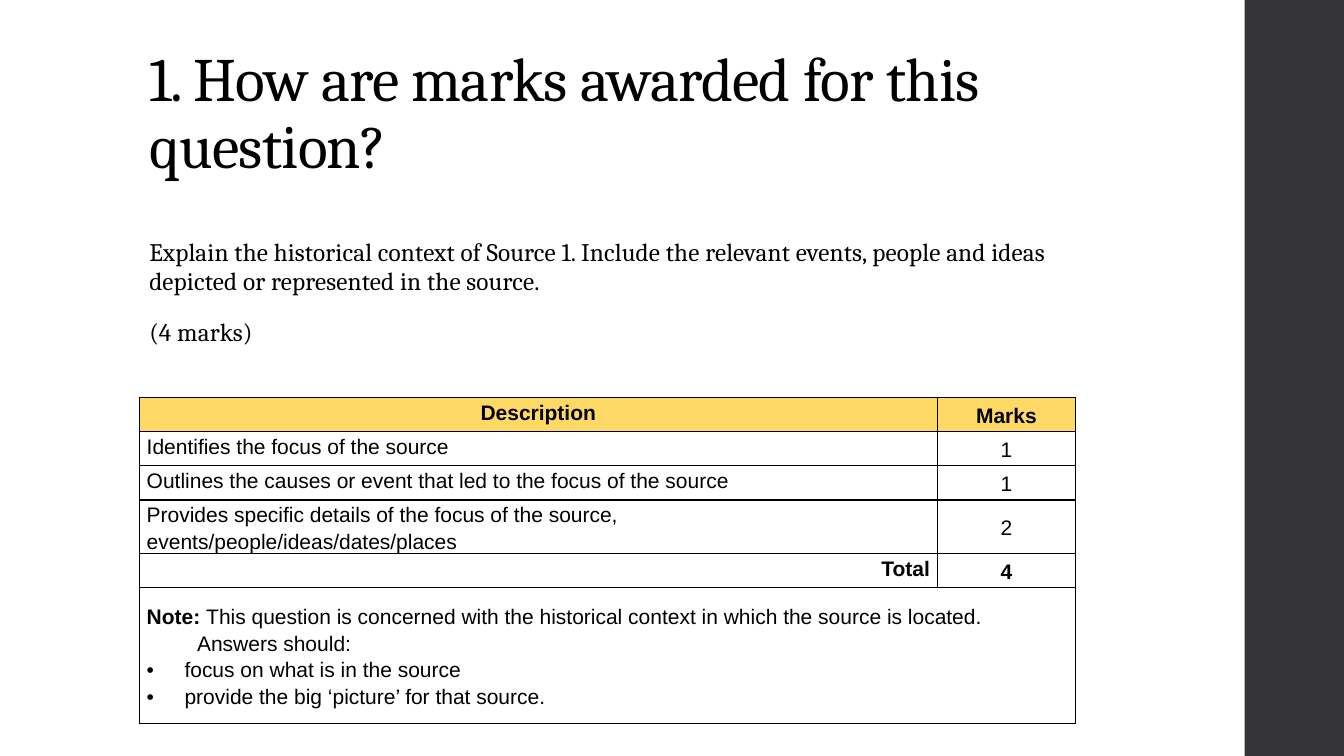
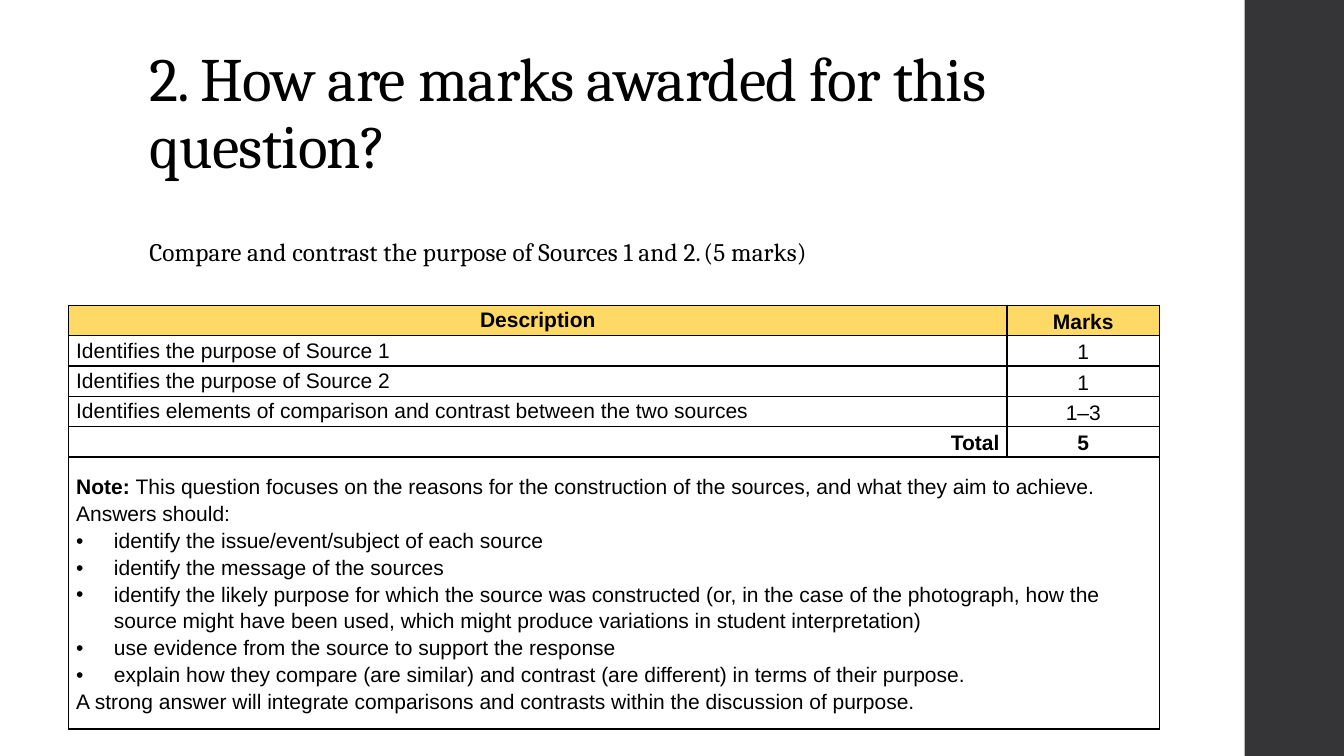
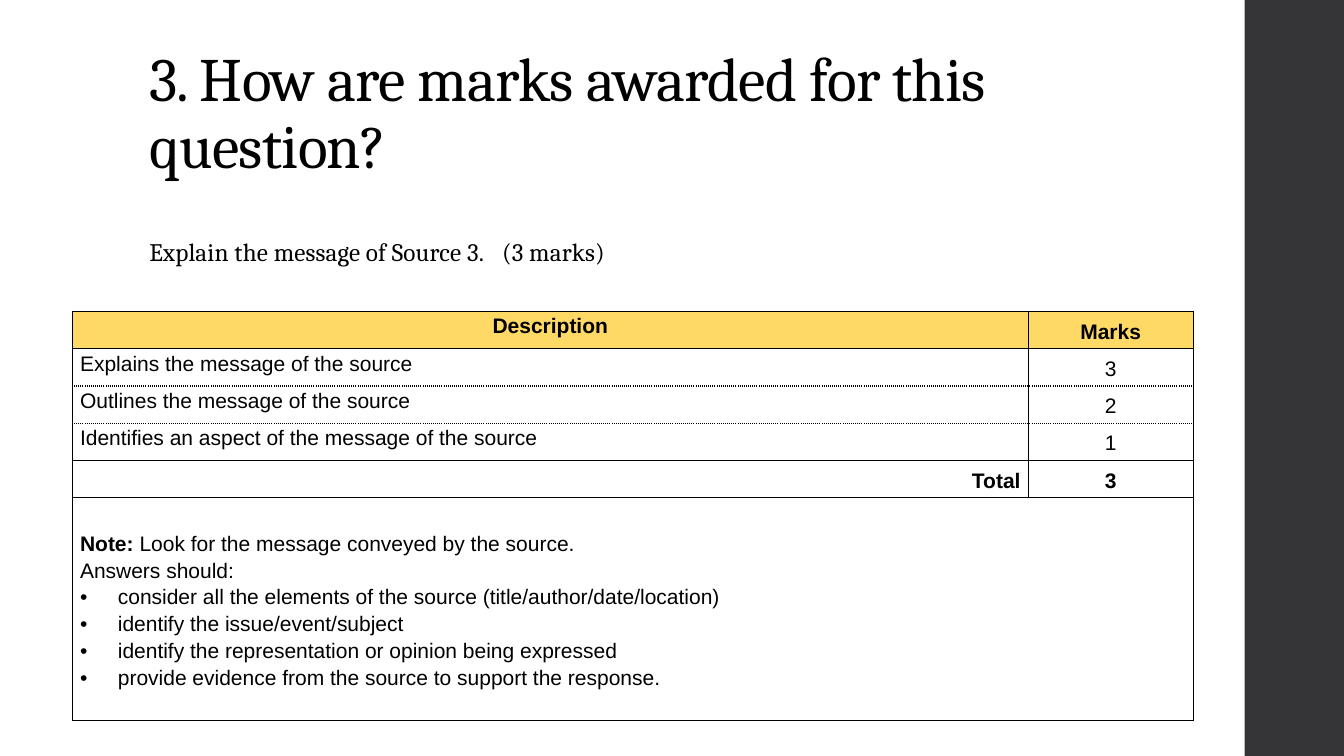
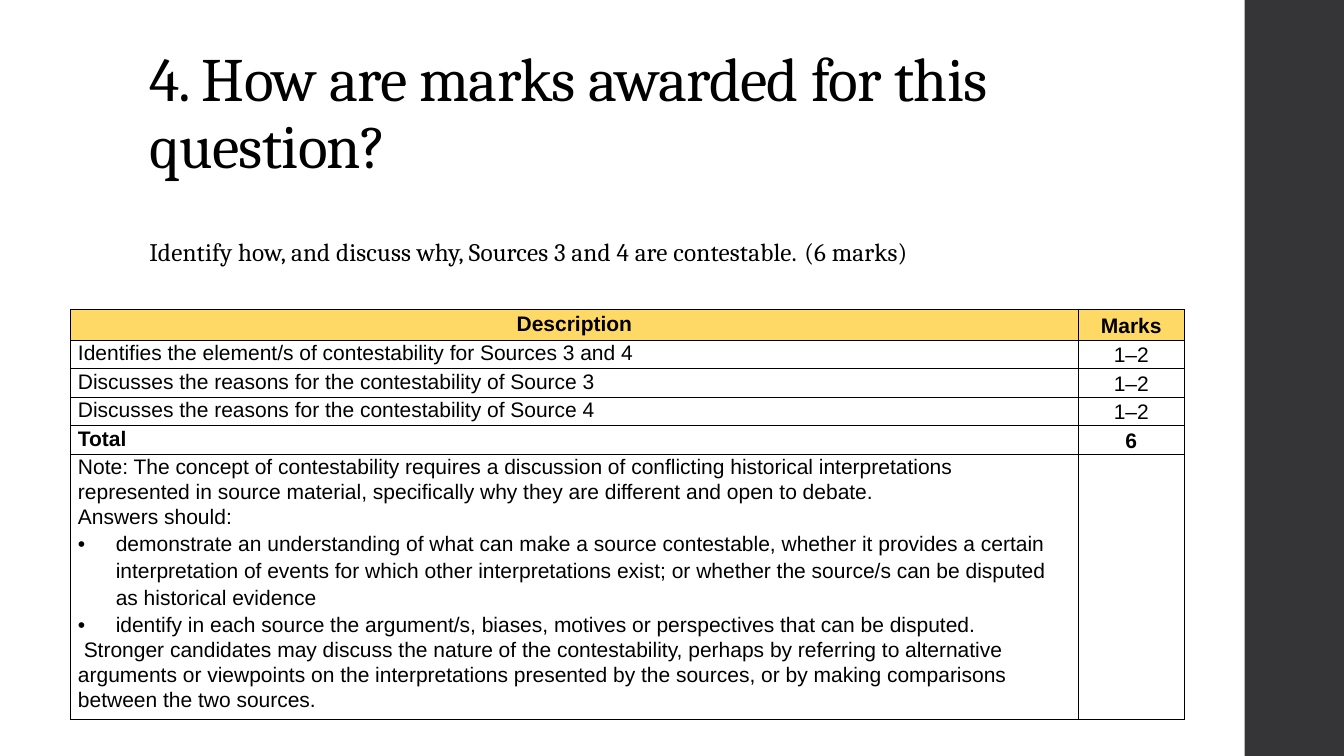
from lxml import etree
from pptx import Presentation
from pptx import util as u
from pptx.dml import color
from pptx.enum import dml, shapes, text
from pptx.oxml import ns

BLACK, BAND, GOLD = "000000", "353537", "FFD966"
SERIF, SANS = "Cambria", "Arial"
LEFT, CENTER, RIGHT = text.PP_ALIGN.LEFT, text.PP_ALIGN.CENTER, text.PP_ALIGN.RIGHT
TOP, MIDDLE, BOTTOM = text.MSO_ANCHOR.TOP, text.MSO_ANCHOR.MIDDLE, text.MSO_ANCHOR.BOTTOM
BULLET_INDENT = 27


def rgb(value):
    return color.RGBColor.from_string(value)


def sub(parent, tag, **attrs):
    return etree.SubElement(parent, ns.qn(tag), {k: str(v) for k, v in attrs.items()})


def add_run(p, content, font=SANS, size=15, bold=False, spacing=0):
    r = p.add_run()
    r.text = content
    r.font.name, r.font.size, r.font.bold = font, u.Pt(size), bold
    r.font.color.rgb = rgb(BLACK)
    if spacing:
        r.font._element.set("spc", str(spacing))


def next_paragraph(tf, first):
    return tf.paragraphs[0] if first else tf.add_paragraph()


def indent(p, left=0, bullet=False):
    pPr = p._p.get_or_add_pPr()
    pPr.set("marL", str(u.Pt(left)))
    pPr.set("indent", str(u.Pt(-left if bullet else 0)))
    if bullet:
        sub(pPr, "a:buFont", typeface=SANS)
        sub(pPr, "a:buChar", char="•")
    else:
        sub(pPr, "a:buNone")
    return pPr


def set_borders(cell, dotted=()):
    tcPr = cell._tc.get_or_add_tcPr()
    for i, side in enumerate("LRTB"):
        ln = etree.Element(ns.qn("a:ln" + side), w=str(u.Pt(1)))
        sub(sub(ln, "a:solidFill"), "a:srgbClr", val=BLACK)
        sub(ln, "a:prstDash", val="sysDot" if side in dotted else "solid")
        tcPr.insert(i, ln)


class Deck:
    def __init__(self):
        self.prs = Presentation()
        self.prs.slide_width, self.prs.slide_height = u.Pt(960), u.Pt(540)
        self.layout = self.prs.slide_layouts[1]
        self.s = None

    def place(self, sp, left, top, width, height):
        sp.left, sp.top, sp.width, sp.height = (u.Pt(v) for v in (left, top, width, height))

    def slide(self, title):
        first = self.s is None
        self.s = self.prs.slides.add_slide(self.layout)
        if first:
            self.band()
        sp = self.s.shapes.title
        self.place(sp, 99.4, 29, 763, 104.4)
        tf = sp.text_frame
        tf.auto_size, tf.vertical_anchor = text.MSO_AUTO_SIZE.NONE, BOTTOM
        p = tf.paragraphs[0]
        p.alignment, p.line_spacing = LEFT, 0.9
        add_run(p, title, SERIF, 44, spacing=-50)

    def band(self):
        sp = self.s.shapes.add_shape(shapes.MSO_SHAPE.RECTANGLE, u.Pt(889), 0, u.Pt(72), u.Pt(540))
        sp.shadow.inherit = False
        sp.fill.solid()
        sp.fill.fore_color.rgb = rgb(BAND)
        sp.line.fill.background()
        sp.element.nvSpPr.cNvPr.set("id", "20")
        self.layout.shapes.element.insert(2, sp.element)

    def question(self, *lines, tab=None):
        sp = self.s.placeholders[1]
        self.place(sp, 99.4, 167, 677, 319.7)
        tf = sp.text_frame
        tf.auto_size = text.MSO_AUTO_SIZE.NONE
        for i, line in enumerate(lines):
            p = next_paragraph(tf, i == 0)
            pPr = indent(p)
            if tab:
                sub(sub(pPr, "a:tabLst"), "a:tab", pos=u.Pt(tab), algn="l")
            p.line_spacing = 0.95
            p.space_before, p.space_after = u.Pt(14 if i else 0), u.Pt(2)
            add_run(p, line, SERIF, 18, spacing=10)

    def cell(self, cell, content=None, align=LEFT, anchor=TOP, bold=False, fill=None, spacing=1.15, dotted=()):
        cell.margin_left = cell.margin_right = u.Pt(5.4)
        cell.margin_top = cell.margin_bottom = 0
        cell.vertical_anchor = anchor
        if fill:
            cell.fill.solid()
            cell.fill.fore_color.rgb = rgb(fill)
        else:
            cell.fill.background()
        set_borders(cell, dotted)
        if content:
            p = cell.text_frame.paragraphs[0]
            p.alignment, p.line_spacing = align, spacing
            add_run(p, content, bold=bold)

    def note(self, cell, lead, bullets, label="", closing=None, answers_indent=0, spacing=1.15):
        lines = [(lead, 0, False), ("Answers should:", answers_indent, False)]
        lines += [(b, BULLET_INDENT, True) for b in bullets]
        if closing:
            lines.append((closing, 0, False))
        for i, (line, left, bullet) in enumerate(lines):
            p = next_paragraph(cell.text_frame, i == 0)
            indent(p, left, bullet)
            p.line_spacing = 1.15 if bullet else spacing
            if i == 0 and label:
                add_run(p, label, bold=True)
            add_run(p, line)

    def marks_table(self, left, top, cols, heights, criteria, total, note, total_align=RIGHT,
                    total_anchor=MIDDLE, spacing=1.15, dotted=False, merge=True):
        header, row, note_height = heights
        heights = [header] + [row] * (len(criteria) + 1) + [note_height]
        frame = self.s.shapes.add_table(len(heights), 2, u.Pt(left), u.Pt(top),
                                        u.Pt(sum(cols)), u.Pt(sum(heights)))
        t = frame.table
        t.first_row = t.horz_banding = False
        for col, width in zip(t.columns, cols):
            col.width = u.Pt(width)
        for r, height in zip(t.rows, heights):
            r.height = u.Pt(height)

        self.cell(t.cell(0, 0), "Description", CENTER, TOP, True, GOLD)
        self.cell(t.cell(0, 1), "Marks", CENTER, MIDDLE, True, GOLD)
        for i, (description, mark) in enumerate(criteria, 1):
            dots = ("T" * (i > 1) + "B" * (i < len(criteria))) if dotted else ""
            self.cell(t.cell(i, 0), description, spacing=spacing, dotted=dots)
            self.cell(t.cell(i, 1), mark, CENTER, MIDDLE, spacing=spacing, dotted=dots)
        i = len(criteria) + 1
        self.cell(t.cell(i, 0), "Total", total_align, total_anchor, True, spacing=spacing)
        self.cell(t.cell(i, 1), total, CENTER, MIDDLE, True, spacing=spacing)
        for c in (0, 1):
            self.cell(t.cell(i + 1, c), anchor=MIDDLE if merge else TOP)
        if merge:
            t.cell(i + 1, 0).merge(t.cell(i + 1, 1))
        self.note(t.cell(i + 1, 0), spacing=spacing, **note)


def main():
    deck = Deck()
    title = "{}. How are marks awarded for this question?"

    deck.slide(title.format(1))
    deck.question(
        "Explain the historical context of Source 1. Include the relevant events, people and ideas "
        "depicted or represented in the source.",
        "(4 marks)")
    deck.marks_table(
        99.4, 284.2, (570.2, 98.6), (24.3, 24.3, 97),
        [("Identifies the focus of the source", "1"),
         ("Outlines the causes or event that led to the focus of the source", "1"),
         ("Provides specific details of the focus of the source, events/people/ideas/dates/places", "2")],
        "4",
        dict(label="Note: ",
             lead="This question is concerned with the historical context in which the source is located.",
             answers_indent=36,
             bullets=["focus on what is in the source",
                      "provide the big ‘picture’ for that source."]),
        total_anchor=TOP)

    deck.slide(title.format(2))
    deck.question("Compare and contrast the purpose of Sources 1 and 2.\t(5 marks)", tab=436)
    deck.marks_table(
        49, 218, (670.3, 109), (21.7, 21.7, 194.3),
        [("Identifies the purpose of Source 1", "1"),
         ("Identifies the purpose of Source 2", "1"),
         ("Identifies elements of comparison and contrast between the two sources", "1–3")],
        "5",
        dict(label="Note: ",
             lead="This question focuses on the reasons for the construction of the sources, "
                  "and what they aim to achieve.",
             bullets=["identify the issue/event/subject of each source",
                      "identify the message of the sources",
                      "identify the likely purpose for which the source was constructed (or, in the case "
                      "of the photograph, how the source might have been used, which might produce "
                      "variations in student interpretation)",
                      "use evidence from the source to support the response",
                      "explain how they compare (are similar) and contrast (are different) in terms of "
                      "their purpose."],
             closing="A strong answer will integrate comparisons and contrasts within the discussion "
                     "of purpose."))

    deck.slide(title.format(3))
    deck.question("Explain the message of Source 3.\t(3 marks)", tab=288)
    deck.marks_table(
        51.8, 222.5, (682.6, 118), (26.6, 26.6, 159.5),
        [("Explains the message of the source", "3"),
         ("Outlines the message of the source", "2"),
         ("Identifies an aspect of the message of the source", "1")],
        "3",
        dict(label="Note: ",
             lead="Look for the message conveyed by the source.",
             bullets=["consider all the elements of the source (title/author/date/location)",
                      "identify the issue/event/subject",
                      "identify the representation or opinion being expressed",
                      "provide evidence from the source to support the response."]),
        dotted=True)

    deck.slide(title.format(4))
    deck.question("Identify how, and discuss why, Sources 3 and 4 are contestable.\t(6 marks)", tab=504)
    deck.marks_table(
        50.3, 221, (720, 75.6), (22, 20.4, 189.3),
        [("Identifies the element/s of contestability for Sources 3 and 4", "1–2"),
         ("Discusses the reasons for the contestability of Source 3", "1–2"),
         ("Discusses the reasons for the contestability of Source 4", "1–2")],
        "6",
        dict(lead="Note: The concept of contestability requires a discussion of conflicting historical "
                  "interpretations represented in source material, specifically why they are different "
                  "and open to debate.",
             bullets=["demonstrate an understanding of what can make a source contestable, whether it "
                      "provides a certain interpretation of events for which other interpretations "
                      "exist; or whether the source/s can be disputed as historical evidence",
                      "identify in each source the argument/s, biases, motives or perspectives that can "
                      "be disputed."],
             closing=" Stronger candidates may discuss the nature of the contestability, perhaps by "
                     "referring to alternative arguments or viewpoints on the interpretations presented "
                     "by the sources, or by making comparisons between the two sources."),
        total_align=LEFT, total_anchor=TOP, spacing=1.07, merge=False)

    deck.prs.save("out.pptx")


if __name__ == "__main__":
    main()
